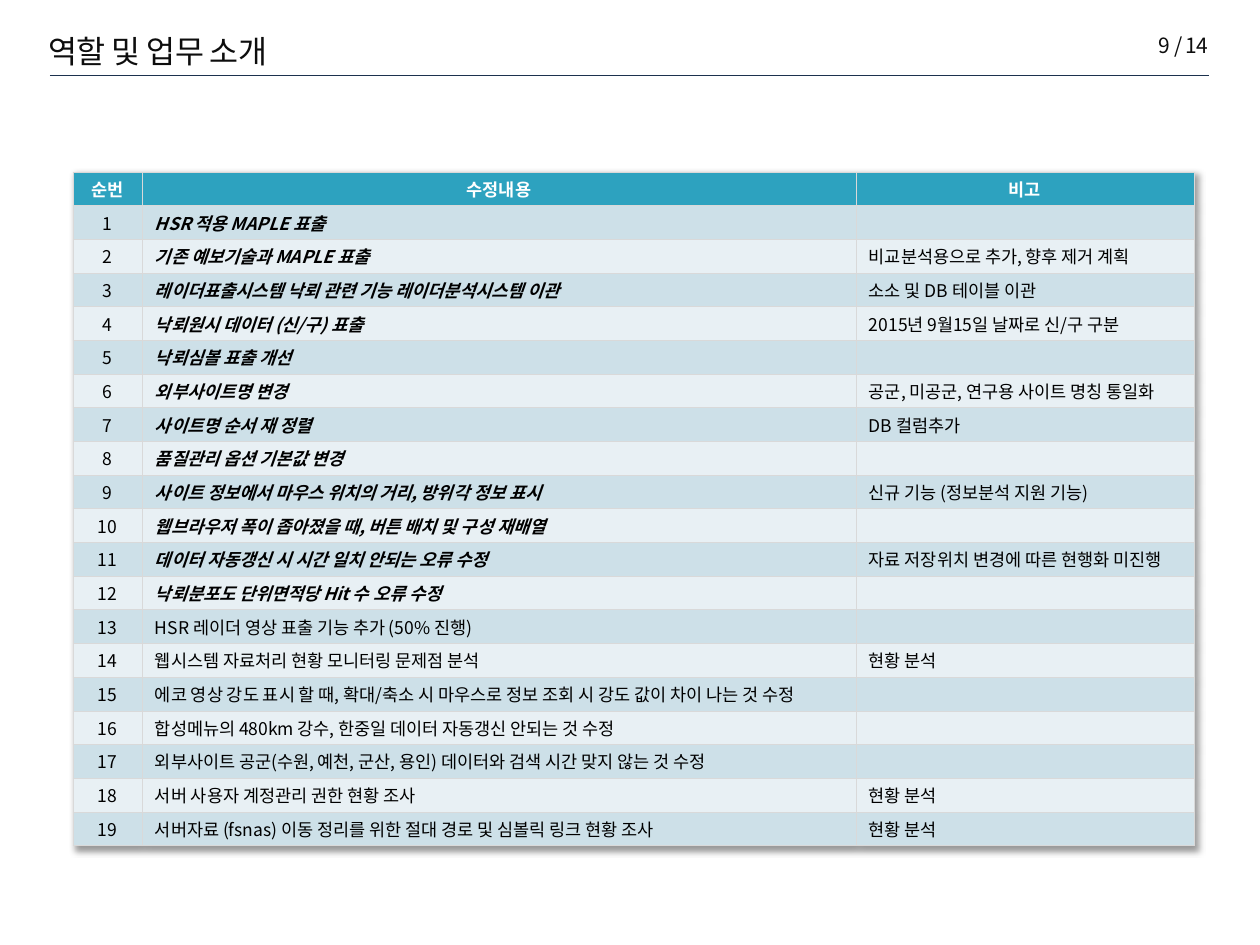
from lxml import etree
from pptx import Presentation
from pptx.dml.color import RGBColor
from pptx.enum.shapes import MSO_CONNECTOR
from pptx.enum.text import MSO_ANCHOR, PP_ALIGN
from pptx.oxml import parse_xml
from pptx.oxml.ns import qn
from pptx.util import Pt

LEFT, MID, RIGHT = PP_ALIGN.LEFT, PP_ALIGN.CENTER, PP_ALIGN.RIGHT
CENTER = MSO_ANCHOR.MIDDLE
LINE = MSO_CONNECTOR.STRAIGHT
PX = 914400 / 126
FONT = "Noto Sans CJK KR"
NS = 'xmlns:a="http://schemas.openxmlformats.org/drawingml/2006/main"'

# Content
TITLE = "역할 및 업무 소개"
PAGE = "9 / 14"
HEAD = ("순번", "수정내용", "비고")
TASKS = [
    ("HSR 적용 MAPLE 표출", ""),
    ("기존 예보기술과 MAPLE 표출", "비교분석용으로 추가, 향후 제거 계획"),
    ("레이더표출시스템 낙뢰 관련 기능 레이더분석시스템 이관", "소소 및 DB 테이블 이관"),
    ("낙뢰원시 데이터 (신/구) 표출", "2015년 9월15일 날짜로 신/구 구분"),
    ("낙뢰심볼 표출 개선", ""),
    ("외부사이트명 변경", "공군, 미공군, 연구용 사이트 명칭 통일화"),
    ("사이트명 순서 재 정렬", "DB 컬럼추가"),
    ("품질관리 옵션 기본값 변경", ""),
    ("사이트 정보에서 마우스 위치의 거리, 방위각 정보 표시", "신규 기능 (정보분석 지원 기능)"),
    ("웹브라우저 폭이 좁아졌을 때, 버튼 배치 및 구성 재배열", ""),
    ("데이터 자동갱신 시 시간 일치 안되는 오류 수정", "자료 저장위치 변경에 따른 현행화 미진행"),
    ("낙뢰분포도 단위면적당 Hit 수 오류 수정", ""),
    ("HSR 레이더 영상 표출 기능 추가 (50% 진행)", ""),
    ("웹시스템 자료처리 현황 모니터링 문제점 분석", "현황 분석"),
    ("에코 영상 강도 표시 할 때, 확대/축소 시 마우스로 정보 조회 시 강도 값이 차이 나는 것 수정", ""),
    ("합성메뉴의 480km 강수, 한중일 데이터 자동갱신 안되는 것 수정", ""),
    ("외부사이트 공군(수원, 예천, 군산, 용인) 데이터와 검색 시간 맞지 않는 것 수정", ""),
    ("서버 사용자 계정관리 권한 현황 조사", "현황 분석"),
    ("서버자료 (fsnas) 이동 정리를 위한 절대 경로 및 심볼릭 링크 현황 조사", "현황 분석"),
]
DONE = 12  # the first tasks stand in bold italics
COLS = (69, 714, 338)
BANDS = ("E8F0F4", "CDE0E8")


def px(n):
    return round(n * PX)


def color(code):
    return RGBColor.from_string(code)


def write(para, text, align, tint, space=None, **form):
    para.alignment = align
    if not text:  # an empty cell still needs its text size
        end = etree.SubElement(para._p, qn("a:endParaRPr"))
        end.set("sz", str(int(form["size"].pt * 100)))
        return
    run = para.add_run()
    run.text = text
    font = run.font
    for key, val in {"name": FONT, **form}.items():
        setattr(font, key, val)
    font.color.rgb = color(tint)
    props = font._element
    etree.SubElement(props, qn("a:ea")).set("typeface", FONT)
    if space:
        props.set("spc", str(space))


def label(slide, box, text, align, size):
    frame = slide.shapes.add_textbox(*map(px, box)).text_frame
    frame.word_wrap = True
    frame.vertical_anchor = CENTER
    write(frame.paragraphs[0], text, align, "0D0D0D", -30, size=Pt(size))


def dress(cell, fill):
    form = {"margin_left": px(13), "margin_right": px(13), "margin_top": px(3),
            "margin_bottom": px(3), "vertical_anchor": CENTER}
    for key, val in form.items():
        setattr(cell, key, val)
    props = cell._tc.get_or_add_tcPr()
    for side in "LRTB":
        props.append(parse_xml(
            f'<a:ln{side} {NS} w="6350"><a:solidFill><a:srgbClr val="D9D9D9"/>'
            f'</a:solidFill></a:ln{side}>'))
    cell.fill.solid()
    cell.fill.fore_color.rgb = color(fill)


def grid(slide):
    rows = [HEAD] + [(str(n), *task) for n, task in enumerate(TASKS, 1)]
    table = slide.shapes.add_table(
        len(rows), len(COLS), px(73), px(172), px(sum(COLS)), px(674)).table
    for col, wide in zip(table.columns, COLS):
        col.width = px(wide)
    for r, row in enumerate(rows):
        for c, text in enumerate(row):
            cell = table.cell(r, c)
            dress(cell, BANDS[r % 2] if r else "2DA2BF")
            strong = r == 0 or (c == 1 and r <= DONE)
            write(cell.text_frame.paragraphs[0], text,
                  MID if r == 0 or c == 0 else LEFT,
                  "000000" if r else "FFFFFF",
                  size=Pt(10), bold=strong, italic=strong and r > 0)
    # Soft shadow behind the whole table
    table._tbl.tblPr.insert(0, parse_xml(
        f'<a:effectLst {NS}><a:outerShdw blurRad="50800" dist="38100" dir="2700000" '
        'algn="tl" rotWithShape="0"><a:srgbClr val="000000"><a:alpha val="40000"/>'
        '</a:srgbClr></a:outerShdw></a:effectLst>'))


def main():
    deck = Presentation()
    deck.slide_width, deck.slide_height = px(1260), px(945)
    slide = deck.slides.add_slide(deck.slide_layouts[6])

    # Heading, rule and page number
    label(slide, (36, 26, 451, 50), TITLE, LEFT, 18)
    rule = slide.shapes.add_connector(LINE, px(50), px(75), px(1209), px(75))
    rule.line.color.rgb = color("1C314E")
    rule.line.width = Pt(0.25)
    etree.SubElement(rule._element.spPr, qn("a:effectLst"))
    label(slide, (1003, 26, 218, 38), PAGE, RIGHT, 12)

    grid(slide)
    deck.save("out.pptx")


if __name__ == "__main__":
    main()
